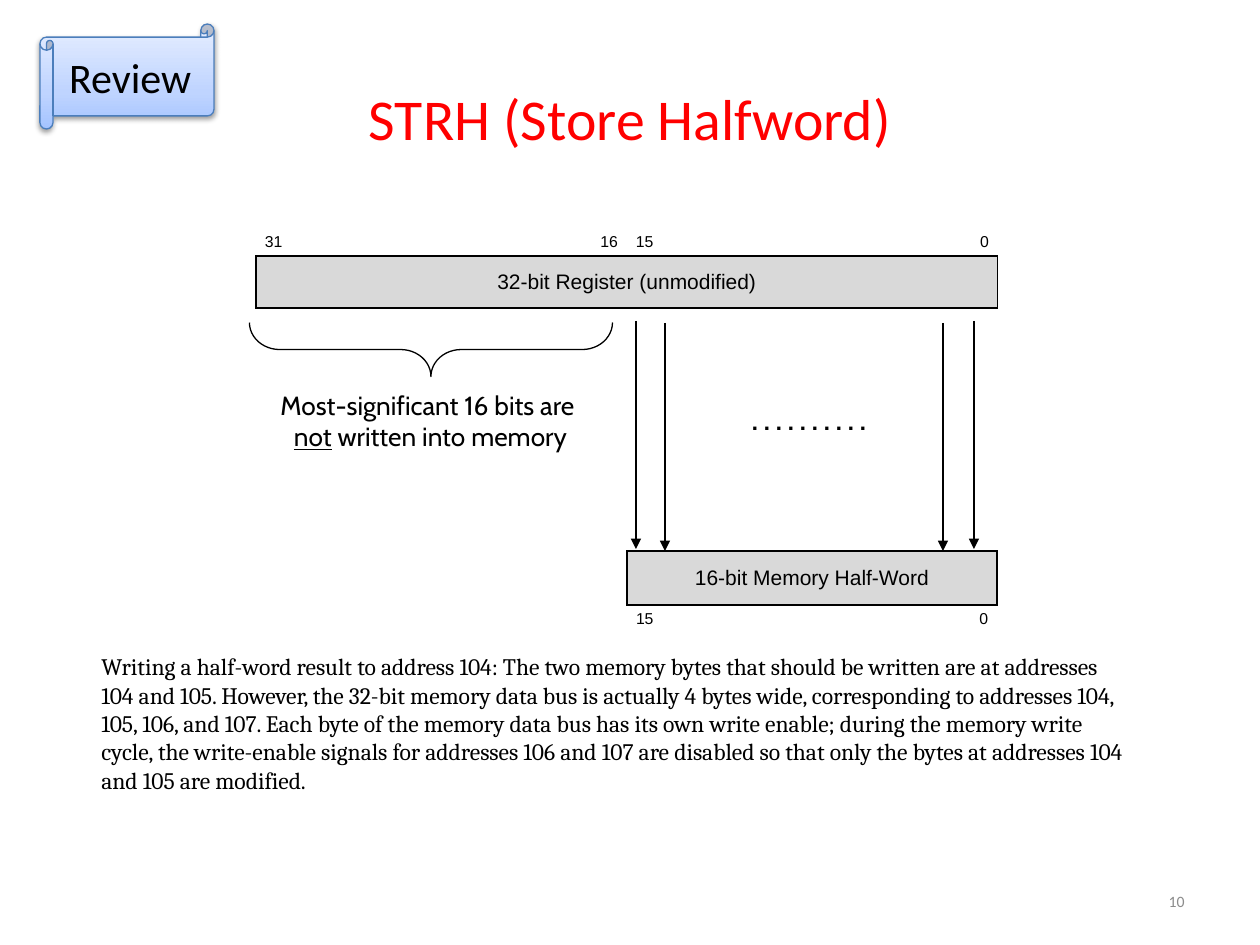
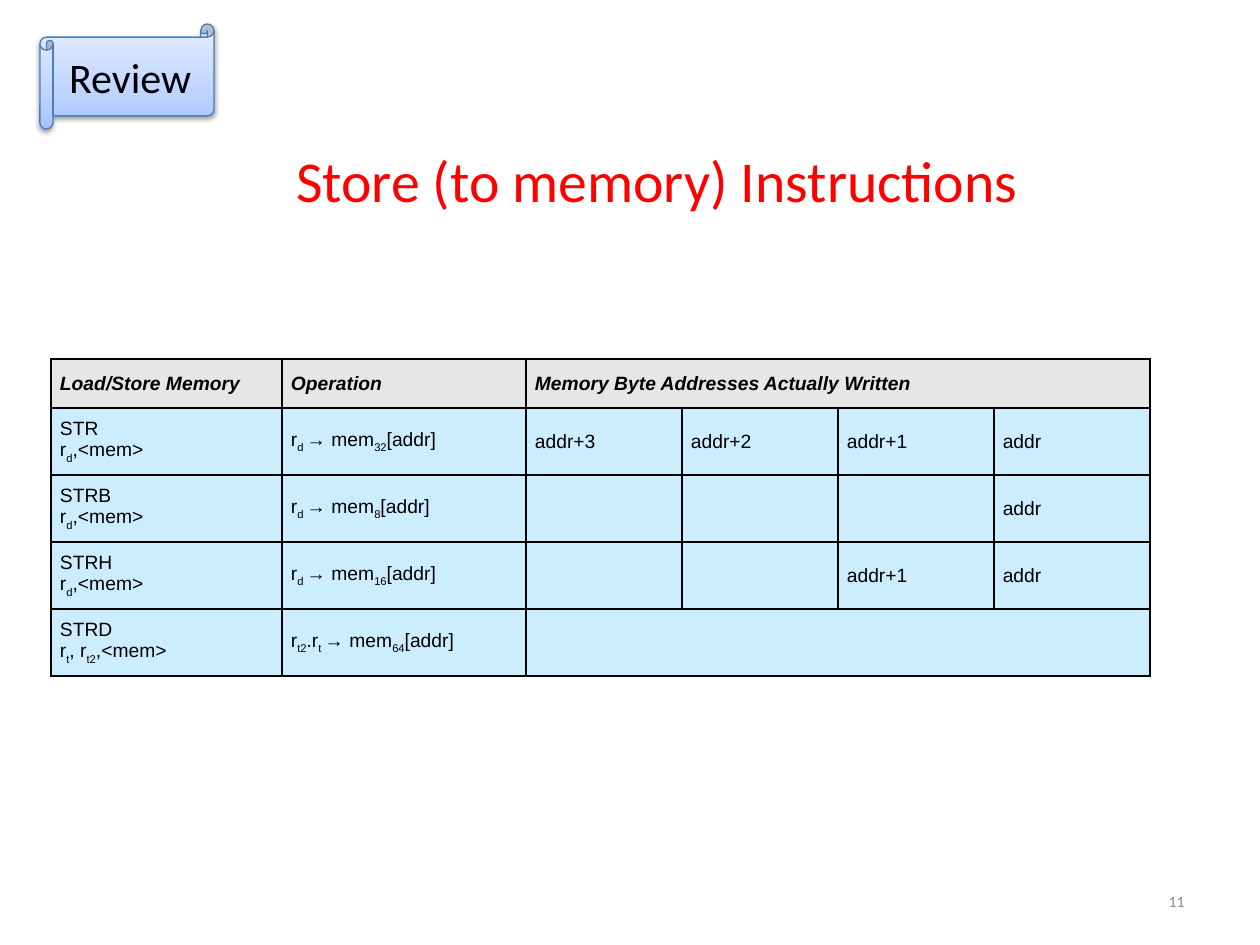
import copy
import dataclasses
import typing

import lxml.etree
import pptx
import pptx.dml.color
import pptx.enum.shapes
import pptx.enum.text
import pptx.oxml.ns
import pptx.util

SCALE = 914400 / 126
ALIGN = pptx.enum.text.PP_ALIGN
ANCHOR = pptx.enum.text.MSO_ANCHOR
SHAPE = pptx.enum.shapes.MSO_SHAPE
Box = tuple[int, int, int, int]


@dataclasses.dataclass(frozen=True)
class Theme:
    ink: str = "000000"
    title: str = "FF0000"
    paper: str = "FFFFFF"
    bar: str = "D9D9D9"
    head: str = "E6E6E6"
    row: str = "CCECFF"
    mute: str = "8C8C8C"
    edge: str = "4B7EBC"
    fade: tuple = ((0, "A4C4FF"), (0.35, "BFD4FF"), (1, "E6EEFF"))
    sans: str = "Calibri"
    grid: str = "Arial"
    note: str = "Cabin"
    prose: str = "Cambria"
    big: float = 33
    badge: float = 24
    mid: float = 15
    text: float = 13.5
    bit: float = 12
    cell: float = 11
    small: float = 9
    thin: float = 0.75


THEME = Theme()


@dataclasses.dataclass(frozen=True)
class Cell:
    text: str = ""
    span: int = 1
    fill: str = THEME.row
    edges: str = "LRTB"
    size: float = THEME.cell
    align: typing.Any = ALIGN.LEFT
    anchor: typing.Any = ANCHOR.MIDDLE
    bold: bool = False


@dataclasses.dataclass(frozen=True)
class Arrow:
    x: int
    top: int
    drop: int = 228


ARROWS = [Arrow(636, 321), Arrow(665, 323), Arrow(943, 323), Arrow(974, 321)]

PROSE = (
    "Writing a half-word result to address 104: The two memory bytes that should be "
    "written are at addresses 104 and 105. However, the 32-bit memory data bus is "
    "actually 4 bytes wide, corresponding to addresses 104, 105, 106, and 107. Each "
    "byte of the memory data bus has its own write enable; during the memory write "
    "cycle, the write-enable signals for addresses 106 and 107 are disabled so that "
    "only the bytes at addresses 104 and 105 are modified."
)

STORES = [
    ("STR\nr~d~,<mem>", "r~d ~→ mem~32~[addr]", 4),
    ("STRB\nr~d~,<mem>", "r~d ~→ mem~8~[addr]", 1),
    ("STRH\nr~d~,<mem>", "r~d ~→ mem~16~[addr]", 2),
]
BYTES = ["addr+3", "addr+2", "addr+1", "addr"]


def px(size: float) -> int:
    return round(size * SCALE)


def rgb(code: str) -> pptx.dml.color.RGBColor:
    return pptx.dml.color.RGBColor.from_string(code)


def add_tag(root: typing.Any, name: str, **attrs: str) -> typing.Any:
    return lxml.etree.SubElement(root, pptx.oxml.ns.qn(name), attrs)


def put(frame: typing.Any, text: str, *, font: str, size: float,
        color: str = THEME.ink, align: typing.Any = ALIGN.LEFT,
        bold: bool = False, slant: bool = False, mark: str = "sub") -> None:
    """Write one paragraph per line; text between tildes takes the mark."""
    for num, line in enumerate(text.split("\n")):
        para = frame.add_paragraph() if num else frame.paragraphs[0]
        para.alignment = align
        para.space_before = pptx.util.Pt(0)
        for turn, part in enumerate(line.split("~")):
            if not part:
                continue
            run = para.add_run()
            run.text = part
            run.font.name = font
            run.font.size = pptx.util.Pt(size)
            run.font.bold = bold
            run.font.italic = slant
            run.font.color.rgb = rgb(color)
            if turn % 2 and mark == "sub":
                run.font._element.set("baseline", "-30000")
            elif turn % 2:
                run.font.underline = True


def add_note(slide: typing.Any, box: Box, text: str,
             anchor: typing.Any = ANCHOR.TOP, **style: typing.Any) -> None:
    frame = slide.shapes.add_textbox(*map(px, box)).text_frame
    frame.word_wrap = True
    frame.vertical_anchor = anchor
    put(frame, text, **style)


def set_line(shape: typing.Any, color: str) -> None:
    shape.line.color.rgb = rgb(color)
    shape.line.width = pptx.util.Pt(THEME.thin)


def add_badge(slide: typing.Any) -> None:
    shape = slide.shapes.add_shape(SHAPE.HORIZONTAL_SCROLL, *map(px, (40, 24, 174, 105)))
    set_line(shape, THEME.edge)
    shape.fill.gradient()
    shape.fill.gradient_angle = 90
    props = shape._element.spPr
    stops = props.find(".//" + pptx.oxml.ns.qn("a:gsLst"))
    stops.insert(1, copy.deepcopy(stops[0]))
    for stop, (place, color) in zip(shape.fill.gradient_stops, THEME.fade):
        stop.position = place
        stop.color.rgb = rgb(color)
    shape.shadow.inherit = False
    cast = add_tag(props.find(pptx.oxml.ns.qn("a:effectLst")), "a:outerShdw",
                   blurRad=str(pptx.util.Pt(3.1)), dist=str(pptx.util.Pt(1.6)),
                   dir="5400000", rotWithShape="0")
    add_tag(add_tag(cast, "a:srgbClr", val=THEME.ink), "a:alpha", val="38000")
    shape.text_frame.word_wrap = False
    shape.text_frame.vertical_anchor = ANCHOR.MIDDLE
    put(shape.text_frame, "Review", font=THEME.sans, size=THEME.badge, align=ALIGN.CENTER)


def add_slide(deck: typing.Any, title: str, box: Box, page: int) -> typing.Any:
    slide = deck.slides.add_slide(deck.slide_layouts[5])
    head = slide.shapes.title
    head.left, head.top, head.width, head.height = map(px, box)
    head.text_frame.vertical_anchor = ANCHOR.MIDDLE
    put(head.text_frame, title, font=THEME.sans, size=THEME.big,
        color=THEME.title, align=ALIGN.CENTER)
    add_note(slide, (903, 876, 294, 50), str(page), ANCHOR.MIDDLE, font=THEME.sans,
             size=THEME.small, color=THEME.mute, align=ALIGN.RIGHT)
    add_badge(slide)
    return slide


def set_edges(cell: typing.Any, edges: str) -> None:
    props = cell._tc.get_or_add_tcPr()
    for side in edges:
        line = add_tag(props, "a:ln" + side, w=str(pptx.util.Pt(1)))
        add_tag(add_tag(line, "a:solidFill"), "a:srgbClr", val=THEME.ink)


def add_grid(slide: typing.Any, box: Box, cols: list[int], tall: list[int],
             rows: list[list[Cell]]) -> None:
    table = slide.shapes.add_table(len(rows), len(cols), *map(px, box)).table
    table.first_row = table.horz_banding = False
    style = table._tbl.tblPr.find(pptx.oxml.ns.qn("a:tableStyleId"))
    style.text = "{2D5ABB26-0587-4C30-8999-92F81FD0307C}"
    for col, share in zip(table.columns, cols):
        col.width = px(box[2] * share / sum(cols))
    for num, (row, high) in enumerate(zip(rows, tall)):
        table.rows[num].height = px(high)
        left = 0
        for item in row:
            last = left + item.span
            for col in range(left, last):
                cell = table.cell(num, col)
                set_edges(cell, item.edges)
                cell.fill.solid()
                cell.fill.fore_color.rgb = rgb(item.fill)
            cell = table.cell(num, left)
            if item.span > 1:
                cell.merge(table.cell(num, last - 1))
            cell.margin_left = cell.margin_right = px(9)
            cell.margin_top = cell.margin_bottom = px(5)
            cell.vertical_anchor = item.anchor
            put(cell.text_frame, item.text, font=THEME.grid, size=item.size,
                align=item.align, bold=item.bold, slant=item.bold)
            left = last


def add_arrow(slide: typing.Any, arrow: Arrow) -> None:
    ends = (arrow.x, arrow.top, arrow.x, arrow.top + arrow.drop)
    line = slide.shapes.add_connector(
        pptx.enum.shapes.MSO_CONNECTOR.STRAIGHT, *map(px, ends))
    set_line(line, THEME.ink)
    add_tag(line.line._get_or_add_ln(), "a:tailEnd", type="triangle")
    add_tag(line._element.spPr, "a:effectLst")


def add_brace(slide: typing.Any, box: Box) -> None:
    brace = slide.shapes.add_shape(SHAPE.LEFT_BRACE, *map(px, box))
    brace.rotation = 270
    brace.adjustments[0] = 0.56
    brace.adjustments[1] = 0.5
    brace.fill.background()
    set_line(brace, THEME.ink)
    brace.shadow.inherit = False


def bit(text: str, edge: str, right: bool = False) -> Cell:
    return Cell(text, fill=THEME.paper, edges=edge, size=THEME.small,
                align=ALIGN.RIGHT if right else ALIGN.LEFT,
                anchor=ANCHOR.BOTTOM if edge == "B" else ANCHOR.TOP)


def bar(text: str, span: int) -> Cell:
    return Cell(text, span, THEME.bar, size=THEME.bit, align=ALIGN.CENTER)


def draw_half(deck: typing.Any) -> None:
    slide = add_slide(deck, "STRH (Store Halfword)", (63, 38, 1134, 158), 10)
    marks = ["31", "", "", "16", "15", "", "", "0"]
    bits = [bit(mark, "B", num % 4 == 3) for num, mark in enumerate(marks)]
    add_grid(slide, (256, 204, 742, 104), [1] * 8, [52, 52],
             [bits, [bar("32-bit Register (unmodified)", 8)]])
    add_grid(slide, (627, 551, 370, 108), [1, 1], [54, 54],
             [[bar("16-bit Memory Half-Word", 2)], [bit("15", "T"), bit("0", "T", True)]])
    for arrow in ARROWS:
        add_arrow(slide, arrow)
    add_brace(slide, (404, 168, 54, 363))
    add_note(slide, (698, 398, 222, 44), ". . . . . . . . . .", font=THEME.note,
             size=THEME.mid, bold=True, align=ALIGN.CENTER)
    add_note(slide, (234, 383, 393, 77),
             "Most-significant 16 bits are \n~not~ written into memory",
             font=THEME.note, size=THEME.mid, align=ALIGN.CENTER, mark="under")
    add_note(slide, (89, 646, 1056, 156), PROSE, font=THEME.prose, size=THEME.text)


def draw_stores(deck: typing.Any) -> None:
    slide = add_slide(deck, "Store (to memory) Instructions", (218, 120, 878, 118), 11)
    heads = [("Load/Store Memory", 1), ("Operation", 1),
             ("Memory Byte Addresses Actually Written", 4)]
    rows = [[Cell(text, span, THEME.head, bold=True) for text, span in heads]]
    for name, task, count in STORES:
        blank = len(BYTES) - count
        texts = [name, task] + [""] * blank + BYTES[blank:]
        rows.append([Cell(text) for text in texts])
    rows.append([Cell("STRD\nr~t~, r~t2~,<mem>"),
                 Cell("r~t2~.r~t ~→ mem~64~[addr]"), Cell(span=4)])
    add_grid(slide, (51, 359, 1099, 317), [231, 244] + [156] * 4, [49] + [67] * 4, rows)


def main() -> None:
    deck = pptx.Presentation()
    deck.slide_width, deck.slide_height = px(1260), px(945)
    draw_half(deck)
    draw_stores(deck)
    deck.save("out.pptx")


if __name__ == "__main__":
    main()
